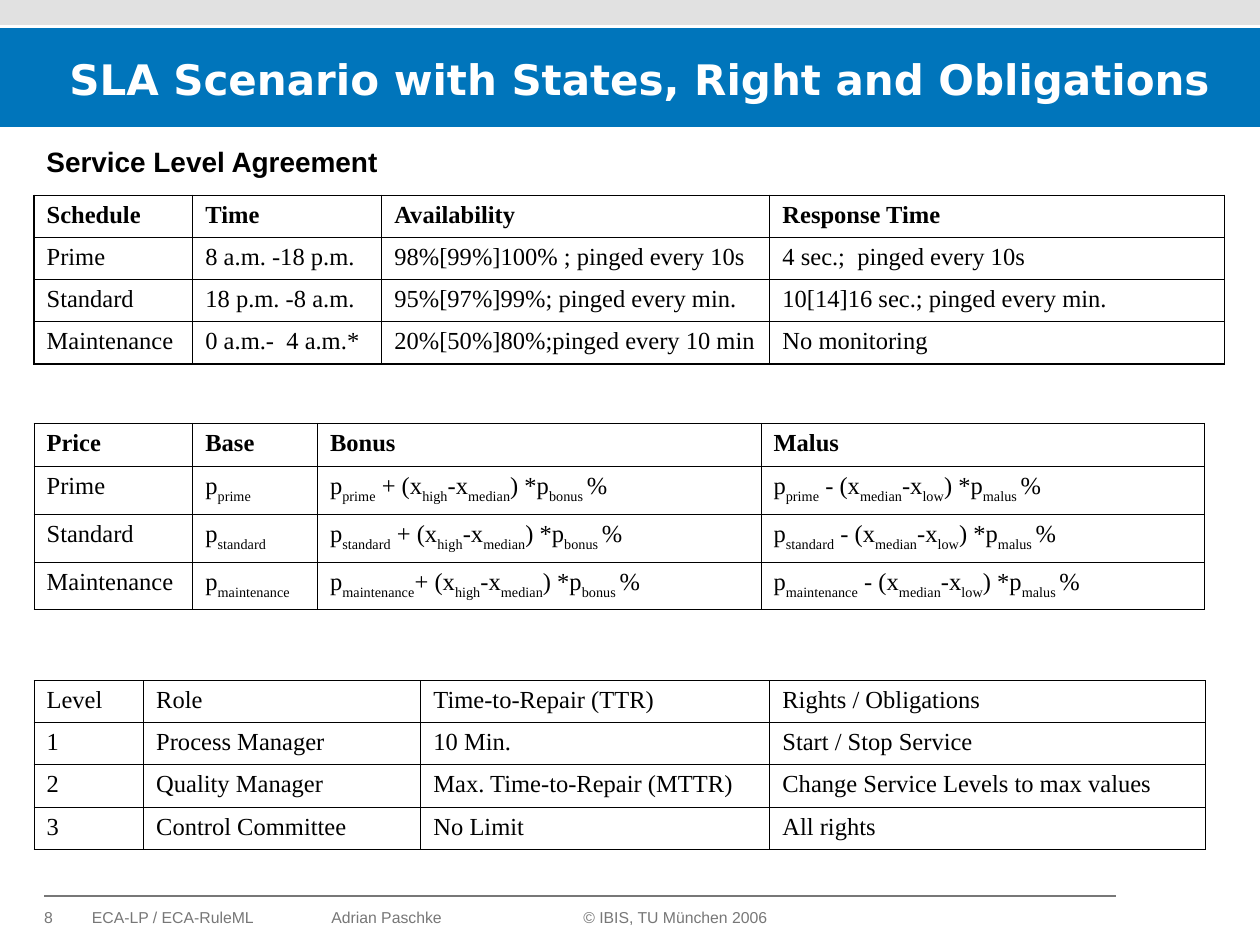
from lxml.etree import SubElement
from pptx import Presentation
from pptx.dml.color import RGBColor
from pptx.enum.shapes import MSO_CONNECTOR, MSO_SHAPE
from pptx.enum.text import MSO_ANCHOR
from pptx.oxml.ns import qn
from pptx.util import Inches, Pt

COLORS = {"blue": "0075BB", "white": "FFFFFF", "light": "E1E1E1",
          "grey": "777777", "black": "000000"}
THIN, THICK = 0.45, 0.96

SERVICE_ROWS = [
    ["Schedule", "Time", "Availability", "Response Time"],
    ["Prime", "8 a.m. -18 p.m.", "98%[99%]100% ; pinged every 10s",
     "4 sec.;  pinged every 10s"],
    ["Standard", "18 p.m. -8 a.m.", "95%[97%]99%; pinged every min.",
     "10[14]16 sec.; pinged every min."],
    ["Maintenance", "0 a.m.-  4 a.m.*", "20%[50%]80%;pinged every 10 min",
     "No monitoring"],
]
ROLE_ROWS = [
    ["Level", "Role", "Time-to-Repair (TTR)", "Rights / Obligations"],
    ["1", "Process Manager", "10 Min.", "Start / Stop Service"],
    ["2", "Quality Manager", "Max. Time-to-Repair (MTTR)",
     "Change Service Levels to max values"],
    ["3", "Control Committee", "No Limit", "All rights"],
]


def price_row(schedule, plus=" + "):
    """Formulas of one schedule; underscores enclose subscripts."""
    base = f"p_{schedule.lower()}_"
    return [schedule, base,
            f"{base}{plus}(x_high_-x_median_) *p_bonus _%",
            f"{base} - (x_median_-x_low_) *p_malus _%"]


PRICE_ROWS = [["Price", "Base", "Bonus", "Malus"], price_row("Prime"),
              price_row("Standard"), price_row("Maintenance", "+ ")]


def rgb(name):
    return RGBColor.from_string(COLORS[name])


def style_font(font, name, size, color, bold=False):
    font.name, font.size, font.bold = name, Pt(size), bold
    font.color.rgb = rgb(color)


def add_band(slide, top, height, color):
    band = slide.shapes.add_shape(MSO_SHAPE.RECTANGLE, Inches(-0.01), Inches(top),
                                  Inches(10.01), Inches(height))
    band.shadow.inherit = False
    band.fill.solid()
    band.fill.fore_color.rgb = rgb(color)
    band.line.fill.background()


def add_rule(slide, left, right, y, color, width):
    rule = slide.shapes.add_connector(MSO_CONNECTOR.STRAIGHT, Inches(left), Inches(y),
                                      Inches(right), Inches(y))
    rule.line.color.rgb = rgb(color)
    rule.line.width = Pt(width)
    SubElement(rule._element.spPr, qn("a:effectLst"))


def add_text(slide, box, text, font, anchor=MSO_ANCHOR.TOP,
             margins=(0.1, 0.05, 0.1, 0.05), tabs=()):
    frame = slide.shapes.add_textbox(*map(Inches, box)).text_frame
    frame.word_wrap = True
    frame.vertical_anchor = anchor
    (frame.margin_left, frame.margin_top,
     frame.margin_right, frame.margin_bottom) = map(Inches, margins)
    frame.text = text
    paragraph = frame.paragraphs[0]
    if tabs:
        tab_list = SubElement(paragraph._p.get_or_add_pPr(), qn("a:tabLst"))
        for position in tabs:
            SubElement(tab_list, qn("a:tab"), pos=str(Inches(position)), algn="l")
    for run in paragraph.runs:
        style_font(run.font, *font)
    return paragraph


def set_borders(cell, widths):
    """Draw the cell's sides; widths are left, right, top, bottom."""
    properties = cell._tc.get_or_add_tcPr()
    for side, width in zip("LRTB", widths):
        line = SubElement(properties, qn(f"a:ln{side}"), w=str(Pt(width)))
        fill = SubElement(line, qn("a:solidFill"))
        SubElement(fill, qn("a:srgbClr"), val=COLORS["black"])


def fill_cell(cell, text, bold):
    paragraph = cell.text_frame.paragraphs[0]
    for index, part in enumerate(text.split("_")):
        if part:
            run = paragraph.add_run()
            run.text = part
            style_font(run.font, "Times New Roman", 14, "black", bold)
            if index % 2:
                run.font._element.set("baseline", "-30000")


def add_grid(slide, top, columns, heights, rows, bold_header=True, outer=THIN):
    table = slide.shapes.add_table(len(rows), len(columns), Inches(0.27), Inches(top),
                                   Inches(sum(columns)), Inches(sum(heights))).table
    table.first_row = table.horz_banding = False
    for column, width in zip(table.columns, columns):
        column.width = Inches(width)
    last_row, last_column = len(rows) - 1, len(columns) - 1
    for r, texts in enumerate(rows):
        table.rows[r].height = Inches(heights[r])
        for c, text in enumerate(texts):
            cell = table.cell(r, c)
            fill_cell(cell, text, bold_header and r == 0)
            edges = (c == 0, c == last_column, r == 0, r == last_row)
            set_borders(cell, [outer if edge else THIN for edge in edges])
            cell.fill.background()


def main():
    presentation = Presentation()
    presentation.slide_width, presentation.slide_height = Inches(10), Inches(7.5)
    slide = presentation.slides.add_slide(presentation.slide_layouts[6])

    # Header bands and footer
    add_band(slide, 0.21, 0.81, "blue")
    add_band(slide, -0.01, 0.22, "light")
    for y in (1.02, 0.21):
        add_rule(slide, -0.01, 10.01, y, "white", 2)
    add_rule(slide, 0.35, 8.86, 7.11, "grey", 1)
    add_text(slide, (0.35, 6.98, 9.61, 0.42),
             "8\tECA-LP / ECA-RuleML\tAdrian Paschke\t© IBIS, TU München 2006",
             ("Arial", 9, "grey"), MSO_ANCHOR.BOTTOM, (0, 0.05, 0, 0.05),
             tabs=(0.38, 2.28, 4.28))

    # Headings
    title = add_text(slide, (0.35, 0.3, 9.29, 0.7),
                     "SLA Scenario with States, Right and Obligations",
                     ("DejaVu Sans", 24, "white", True), MSO_ANCHOR.MIDDLE, (0.2, 0, 0, 0))
    title.line_spacing = 0.9
    add_text(slide, (0.27, 1.1, 4.02, 0.37), "Service Level Agreement",
             ("Arial", 16, "black", True))

    # Agreement tables
    even_rows = [0.335] * 4
    add_grid(slide, 1.55, [1.26, 1.5, 3.08, 3.61], even_rows, SERVICE_ROWS, outer=THICK)
    add_grid(slide, 3.36, [1.26, 0.99, 3.52, 3.52], [0.34] + [0.38] * 3, PRICE_ROWS)
    add_grid(slide, 5.4, [0.87, 2.2, 2.77, 3.46], even_rows, ROLE_ROWS, bold_header=False)

    presentation.save("out.pptx")


if __name__ == "__main__":
    main()
